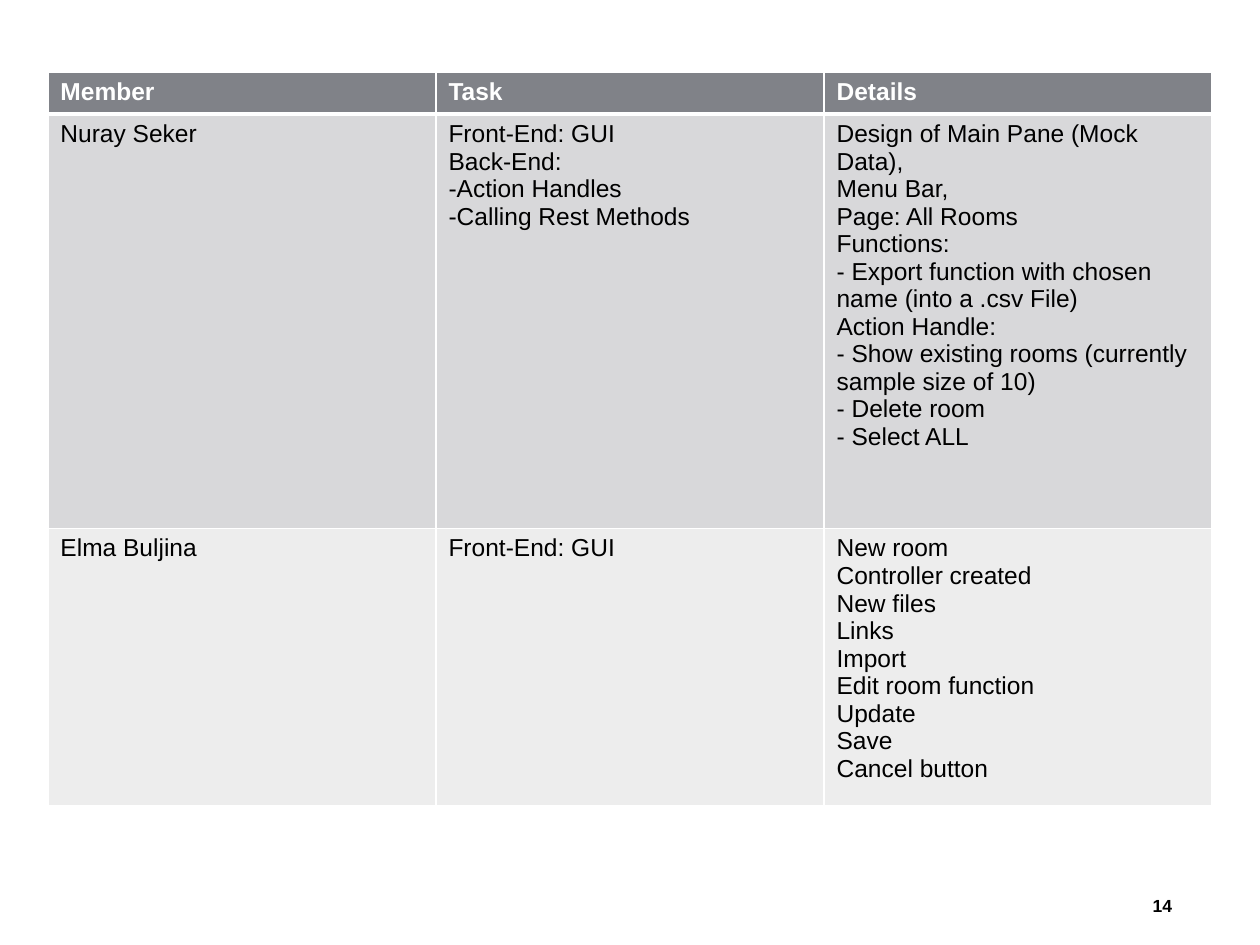
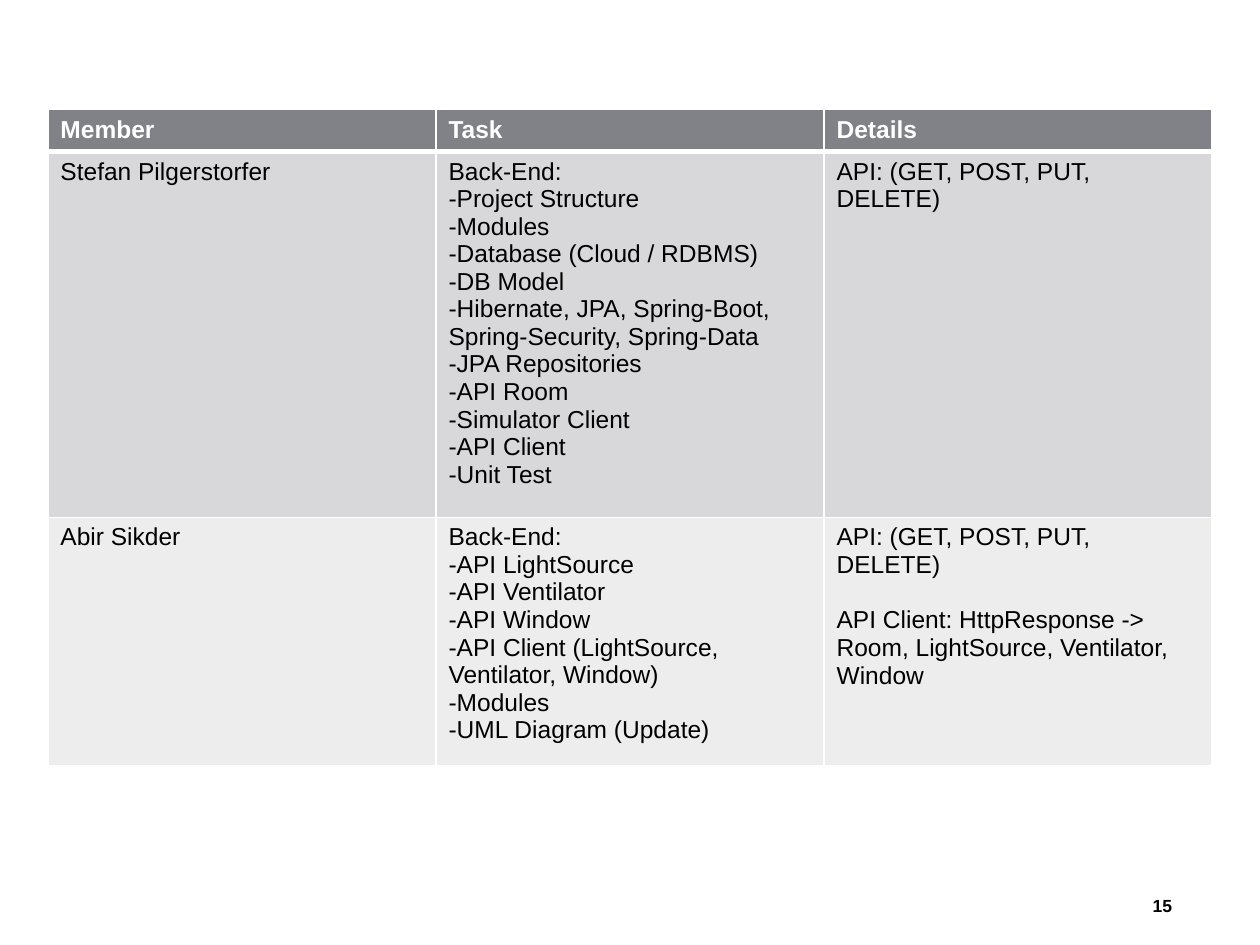
import pptx
import pptx.util
import pptx.dml.color
import pptx.enum.text
import pptx.oxml
import pptx.oxml.ns

HEADINGS = ("Member", "Task", "Details")

ASSIGNMENTS = [
    {
        "page": 14,
        "top": 0.57,
        "heights": (0.31, 3.29, 2.06),
        "members": [
            (
                ["Nuray Seker"],
                ["Front-End: GUI", "Back-End:", "-Action Handles", "-Calling Rest Methods"],
                [
                    "Design of Main Pane (Mock Data),",
                    "Menu Bar,",
                    "Page: All Rooms",
                    "Functions:",
                    "- Export function with chosen name (into a .csv File)",
                    "Action Handle:",
                    "- Show existing rooms (currently sample size of 10)",
                    "- Delete room",
                    "- Select ALL",
                ],
            ),
            (
                ["Elma Buljina"],
                ["Front-End: GUI"],
                [
                    "New room", "Controller created", "New files", "Links", "Import",
                    "Edit room function", "Update", "Save", "Cancel button",
                ],
            ),
        ],
    },
    {
        "page": 15,
        "top": 0.87,
        "heights": (0.31, 2.72, 1.84),
        "members": [
            (
                ["Stefan Pilgerstorfer"],
                [
                    "Back-End:",
                    "-Project Structure",
                    "-Modules",
                    "-Database (Cloud / RDBMS)",
                    "-DB Model",
                    "-Hibernate, JPA, Spring-Boot, Spring-Security, Spring-Data",
                    "-JPA Repositories",
                    "-API Room",
                    "-Simulator Client",
                    "-API Client",
                    "-Unit Test",
                ],
                ["API: (GET, POST, PUT, DELETE)"],
            ),
            (
                ["Abir Sikder"],
                [
                    "Back-End:",
                    "-API LightSource",
                    "-API Ventilator",
                    "-API Window",
                    "-API Client (LightSource, Ventilator, Window)",
                    "-Modules",
                    "-UML Diagram (Update)",
                ],
                [
                    "API: (GET, POST, PUT, DELETE)",
                    "API Client: HttpResponse -> Room, LightSource, Ventilator, Window",
                ],
            ),
        ],
    },
]

THEME = {
    "font": "Arial",
    "body_size": 14,
    "page_size": 10,
    "ink": "000000",
    "heading_ink": "FFFFFF",
    "rule": "FFFFFF",
    "row_fills": ("808288", "D8D8DA", "EDEDED"),
    "thin": 1,
    "thick": 3,
    "section_gap": 16,
}

SLIDE_WIDTH, SLIDE_HEIGHT = 10, 7.5
TABLE_LEFT, TABLE_WIDTH = 0.38, 9.24
PAGE_BOX = (8.84, 6.99, 0.56, 0.4)


def inches(*lengths):
    return [pptx.util.Inches(length) for length in lengths]


def rgb(code):
    return pptx.dml.color.RGBColor.from_string(code)


def style(paragraph, size, ink, bold):
    paragraph.font.name = THEME["font"]
    paragraph.font.size = pptx.util.Pt(size)
    paragraph.font.color.rgb = rgb(ink)
    paragraph.font.bold = bold


def rule_cell(cell, row):
    widths = {
        "L": THEME["thin"],
        "R": THEME["thin"],
        "T": THEME["thick"] if row == 1 else THEME["thin"],
        "B": THEME["thick"] if row == 0 else THEME["thin"],
    }
    properties = cell._tc.get_or_add_tcPr()
    for side, width in widths.items():
        properties.append(pptx.oxml.parse_xml(
            f'<a:ln{side} {pptx.oxml.ns.nsdecls("a")} w="{pptx.util.Pt(width)}">'
            f'<a:solidFill><a:srgbClr val="{THEME["rule"]}"/></a:solidFill></a:ln{side}>'
        ))


def fill_cell(cell, lines, row):
    rule_cell(cell, row)
    cell.fill.solid()
    cell.fill.fore_color.rgb = rgb(THEME["row_fills"][row])
    cell.text = "\n".join(lines)
    heading = row == 0
    for paragraph in cell.text_frame.paragraphs:
        style(paragraph, THEME["body_size"], THEME["heading_ink" if heading else "ink"], heading)
        if paragraph.text.startswith("API Client:"):
            paragraph.space_before = pptx.util.Pt(THEME["section_gap"])


def add_assignments(slide, assignment):
    rows = [[[heading] for heading in HEADINGS], *assignment["members"]]
    heights = assignment["heights"]
    table = slide.shapes.add_table(
        len(rows), len(HEADINGS),
        *inches(TABLE_LEFT, assignment["top"], TABLE_WIDTH, sum(heights)),
    ).table
    table.horz_banding = False
    for row, (cells, height) in enumerate(zip(rows, heights)):
        table.rows[row].height = pptx.util.Inches(height)
        for column, lines in enumerate(cells):
            fill_cell(table.cell(row, column), lines, row)


def add_page_number(slide, page):
    frame = slide.shapes.add_textbox(*inches(*PAGE_BOX)).text_frame
    frame.word_wrap = True
    frame.vertical_anchor = pptx.enum.text.MSO_ANCHOR.MIDDLE
    number = frame.paragraphs[0]
    number.text = str(page)
    number.alignment = pptx.enum.text.PP_ALIGN.RIGHT
    style(number, THEME["page_size"], THEME["ink"], True)


def main():
    deck = pptx.Presentation()
    deck.slide_width, deck.slide_height = inches(SLIDE_WIDTH, SLIDE_HEIGHT)
    for assignment in ASSIGNMENTS:
        slide = deck.slides.add_slide(deck.slide_layouts[6])
        add_page_number(slide, assignment["page"])
        add_assignments(slide, assignment)
    deck.save("out.pptx")


if __name__ == "__main__":
    main()
